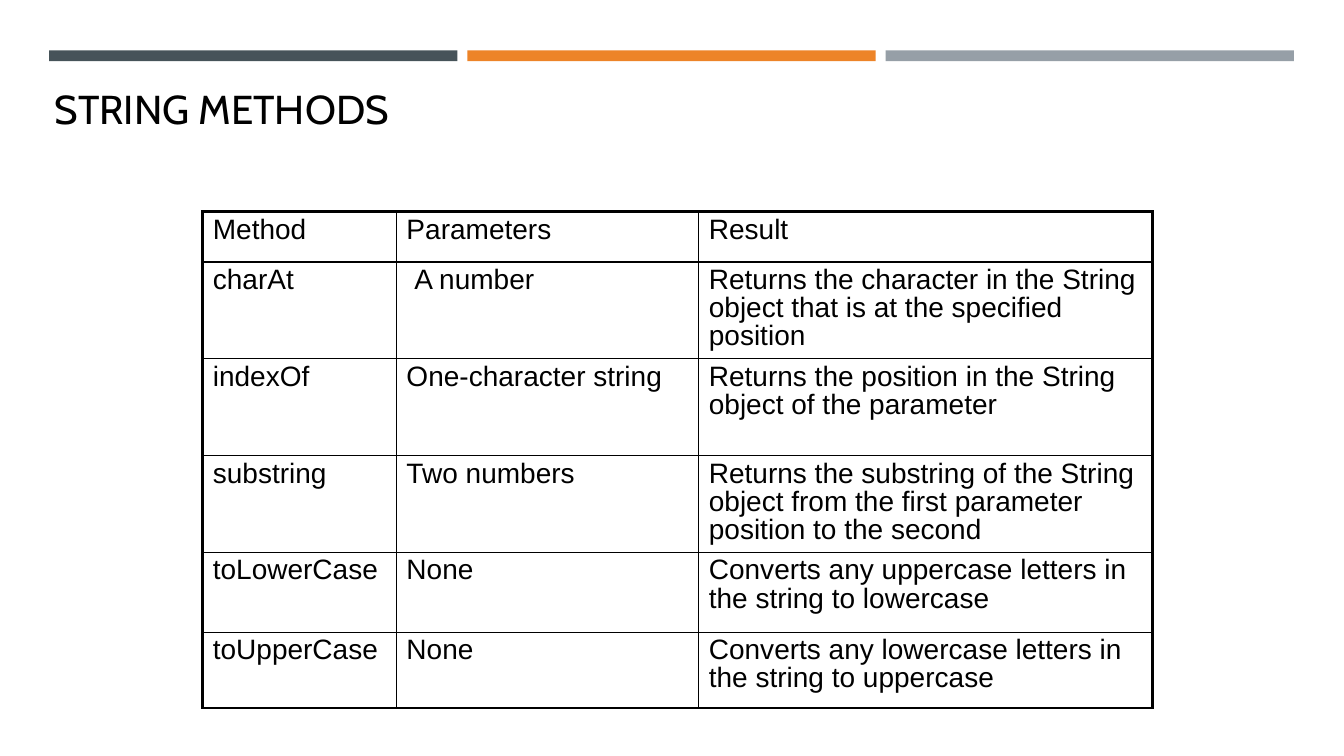
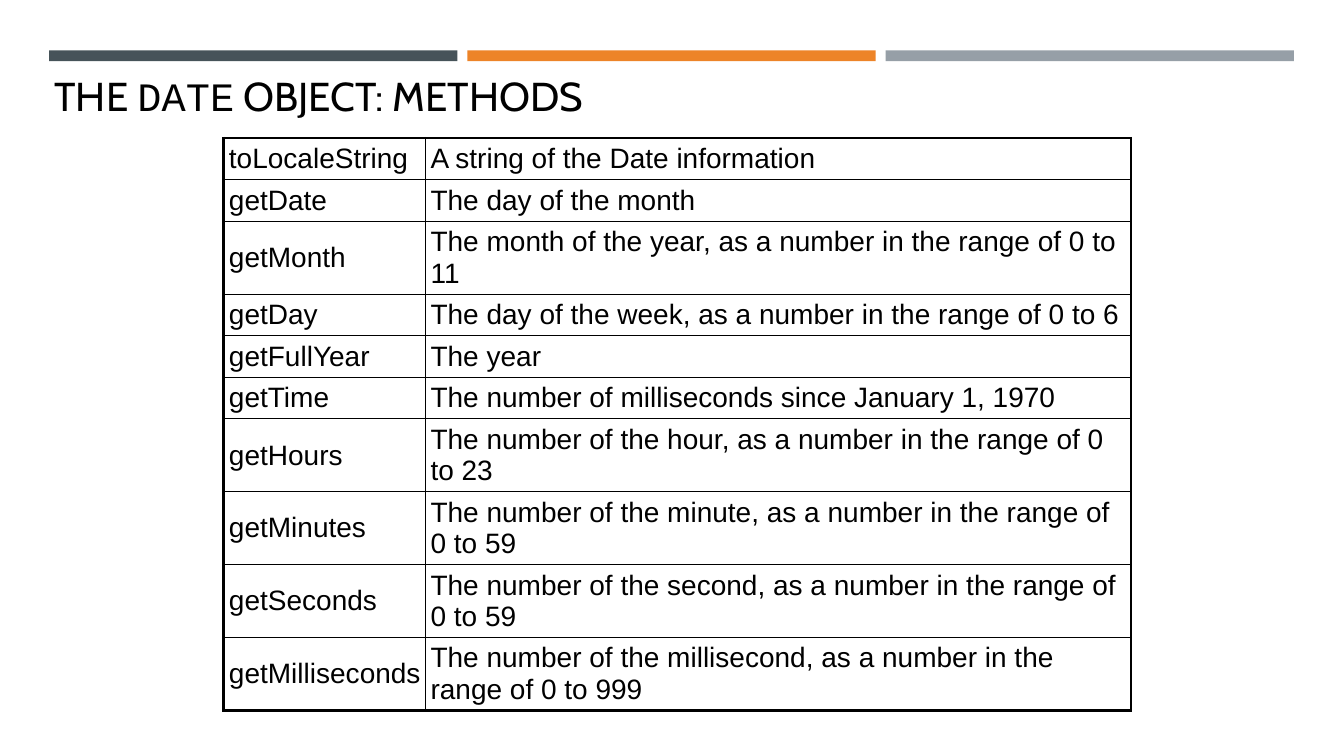
from lxml import etree
from pptx import Presentation
from pptx import util as u
from pptx.dml.color import RGBColor
from pptx.enum import shapes, text
from pptx.oxml.ns import qn

Cm, Pt = u.Cm, u.Pt
COLORS = {"slate": "465359", "orange": "ED8428", "grey": "969FA7", "ink": "000000"}
TITLE_FONT, CODE_FONT, BODY_FONT = "Cabin", "Courier New", "Arial"
TITLE_SIZE, BODY_SIZE = Pt(28.8), Pt(20)
OUTER_LINE, INNER_LINE = Pt(2.25), Pt(1)

STRING_METHODS = [
    ("Method", "Parameters", "Result"),
    ("charAt", "A number",
     "Returns the character in the String object that is at the specified position"),
    ("indexOf", "One-character string",
     "Returns the position in the String object of the parameter"),
    ("substring", "Two numbers",
     "Returns the substring of the String object from the first parameter position to the second"),
    ("toLowerCase", "None", "Converts any uppercase letters in the string to lowercase"),
    ("toUpperCase", "None", "Converts any lowercase letters in the string to uppercase"),
]
DATE_METHODS = [
    ("toLocaleString", "A string of the Date information"),
    ("getDate", "The day of the month"),
    ("getMonth", "The month of the year, as a number in the range of 0 to 11"),
    ("getDay", "The day of the week, as a number in the range of 0 to 6"),
    ("getFullYear", "The year"),
    ("getTime", "The number of milliseconds since January 1, 1970"),
    ("getHours", "The number of the hour, as a number in the range of 0 to 23"),
    ("getMinutes", "The number of the minute, as a number in the range of 0 to 59"),
    ("getSeconds", "The number of the second, as a number in the range of 0 to 59"),
    ("getMilliseconds", "The number of the millisecond, as a number in the range of 0 to 999"),
]
TOP_CELL = {"vertical_anchor": text.MSO_ANCHOR.TOP}
SNUG_CELL = {"vertical_anchor": text.MSO_ANCHOR.MIDDLE, "margin_left": Cm(0.13),
             "margin_top": Cm(0.13), "margin_right": 0, "margin_bottom": Cm(0.13)}


def apply(obj, formats):
    for name, value in formats.items():
        setattr(obj, name, value)


def style_font(font, name, size):
    apply(font, {"name": name, "size": size})
    font.color.rgb = RGBColor.from_string(COLORS["ink"])


def add_bands(s):
    """Draw the three top bands and move them to the slide's layout."""
    for i, color in enumerate(("slate", "orange", "grey")):
        sp = s.shapes.add_shape(shapes.MSO_SHAPE.RECTANGLE, Cm(1.24 + 10.54 * i),
                                Cm(1.27), Cm(10.29), Cm(0.27))
        sp.shadow.inherit = False
        sp.fill.solid()
        sp.fill.fore_color.rgb = RGBColor.from_string(COLORS[color])
        sp.line.fill.background()
        s.slide_layout.shapes.element.append(sp.element)


def set_title(s, top, *runs):
    """Fill the title from (text, font name) pairs."""
    title = s.shapes.title
    apply(title, {"left": Cm(1.12), "top": Cm(top), "width": Cm(31.9), "height": Cm(1.5)})
    tf = title.text_frame
    apply(tf, {"auto_size": text.MSO_AUTO_SIZE.NONE, "word_wrap": True,
               "vertical_anchor": text.MSO_ANCHOR.BOTTOM})
    p = tf.paragraphs[0]
    p.alignment = text.PP_ALIGN.LEFT
    for words, font in runs:
        r = p.add_run()
        r.text = words
        style_font(r.font, font, TITLE_SIZE)


def set_borders(cell, outer_sides):
    """Rule all four sides, with a thick line on the outer ones."""
    tcPr = cell._tc.get_or_add_tcPr()
    for side in "LRTB":
        width = OUTER_LINE if side in outer_sides else INNER_LINE
        ln = etree.SubElement(tcPr, qn(f"a:ln{side}"), w=str(int(width)))
        fill = etree.SubElement(ln, qn("a:solidFill"))
        etree.SubElement(fill, qn("a:srgbClr"), val=COLORS["ink"])


def add_grid(s, rows, left, top, widths, heights, cell_format, line_spacing):
    frame = s.shapes.add_table(len(rows), len(widths), Cm(left), Cm(top),
                               Cm(sum(widths)), Cm(sum(heights)))
    table = frame.table
    apply(table, {"first_row": False, "horz_banding": False})
    for column, width in zip(table.columns, widths):
        column.width = Cm(width)
    for row, height in zip(table.rows, heights):
        row.height = Cm(height)
    last_row, last_col = len(rows) - 1, len(widths) - 1
    for i, row in enumerate(rows):
        for j, words in enumerate(row):
            cell = table.cell(i, j)
            apply(cell, cell_format)
            edges = {"L": j == 0, "R": j == last_col, "T": i == 0, "B": i == last_row}
            set_borders(cell, [side for side, outer in edges.items() if outer])
            cell.fill.background()
            p = cell.text_frame.paragraphs[0]
            p.line_spacing = line_spacing
            r = p.add_run()
            r.text = words
            style_font(r.font, BODY_FONT, BODY_SIZE)
    return table


def main():
    prs = Presentation()
    apply(prs, {"slide_width": Cm(33.87), "slide_height": Cm(19.05)})
    layout = prs.slide_layouts[5]

    s = prs.slides.add_slide(layout)
    add_bands(s)
    set_title(s, 1.98, ("STRING METHODS", TITLE_FONT))
    table = add_grid(s, STRING_METHODS, 5.11, 5.33, (4.88, 7.62, 11.43),
                     (1.27, 2.44, 2.44, 2.44, 2.01, 1.91), TOP_CELL, 0.9)
    table.cell(1, 1).margin_left = Cm(0.45)

    s = prs.slides.add_slide(layout)
    set_title(s, 1.63, ("THE ", TITLE_FONT), ("DATE", CODE_FONT),
              (" OBJECT: METHODS", TITLE_FONT))
    one_line, two_lines = 1.04, 1.83
    heights = [one_line] * 2 + [two_lines] + [one_line] * 3 + [two_lines] * 4
    add_grid(s, DATE_METHODS, 5.64, 3.48, (5.08, 17.78), heights, SNUG_CELL, 1.0)

    prs.save("out.pptx")


if __name__ == "__main__":
    main()
